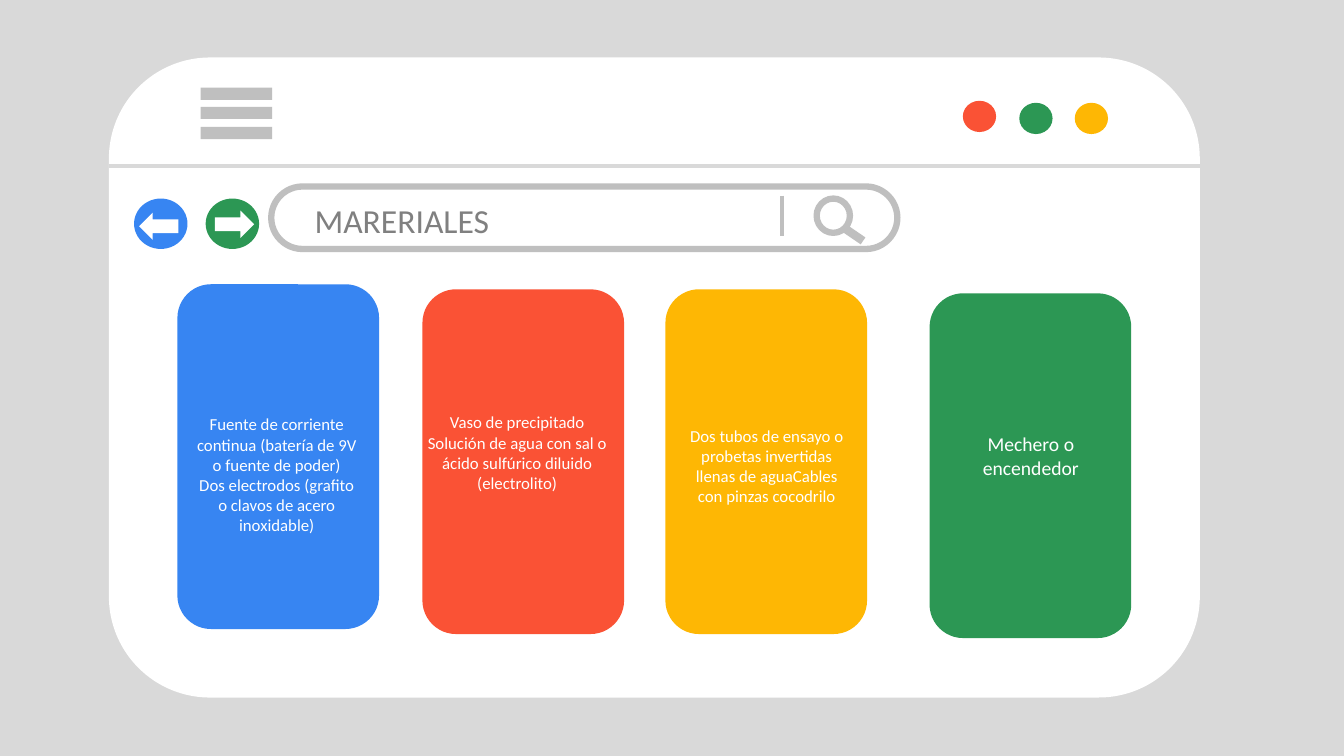
import pptx
import pptx.dml.color
import pptx.enum.shapes
import pptx.enum.text
import pptx.oxml.ns
import pptx.util
from lxml import etree

Inches = pptx.util.Inches
RGBColor = pptx.dml.color.RGBColor
MSO = pptx.enum.shapes.MSO_SHAPE
ALIGN = pptx.enum.text.PP_ALIGN

WHITE = RGBColor(0xFF, 0xFF, 0xFF)
LIGHT = RGBColor(0xD9, 0xD9, 0xD9)
SILVER = RGBColor(0xBF, 0xBF, 0xBF)
GRAY = RGBColor(0x80, 0x80, 0x80)
BLUE = RGBColor(0x37, 0x85, 0xF2)
RED = RGBColor(0xFA, 0x52, 0x35)
YELLOW = RGBColor(0xFE, 0xB7, 0x04)
GREEN = RGBColor(0x2C, 0x97, 0x54)


class BrowserSlide:
    font = "Calibri"

    def __init__(self, prs):
        self.s = prs.slides.add_slide(prs.slide_layouts[5])
        self.s.background.fill.solid()
        self.s.background.fill.fore_color.rgb = LIGHT

    def shape(self, kind, x, y, w, h, fill=None, line=None, weight=4.5, adj=None, rotation=0):
        sp = self.s.shapes.add_shape(kind, Inches(x), Inches(y), Inches(w), Inches(h))
        sp.shadow.inherit = False
        sp.rotation = rotation
        if adj is not None:
            sp.adjustments[0] = adj
        if fill is None:
            sp.fill.background()
        else:
            sp.fill.solid()
            sp.fill.fore_color.rgb = fill
        if line is None:
            sp.line.fill.background()
        else:
            sp.line.color.rgb = line
            sp.line.width = pptx.util.Pt(weight)

    def line(self, x1, y1, x2, y2, color, weight):
        cn = self.s.shapes.add_connector(
            pptx.enum.shapes.MSO_CONNECTOR.STRAIGHT,
            Inches(x1), Inches(y1), Inches(x2), Inches(y2))
        cn.line.color.rgb = color
        cn.line.width = pptx.util.Pt(weight)
        sp_pr = cn.element.find(pptx.oxml.ns.qn("p:spPr"))
        etree.SubElement(sp_pr, pptx.oxml.ns.qn("a:effectLst"))

    def add_runs(self, sp, paragraphs, size, color, align):
        tf = sp.text_frame
        tf.word_wrap = True
        tf.auto_size = pptx.enum.text.MSO_AUTO_SIZE.NONE
        tf.vertical_anchor = pptx.enum.text.MSO_ANCHOR.TOP
        for i, text in enumerate(paragraphs):
            p = tf.add_paragraph() if i else tf.paragraphs[0]
            p.alignment = align
            r = p.add_run()
            r.text = text
            r.font.name = self.font
            r.font.size = pptx.util.Pt(size)
            r.font.color.rgb = color

    def text(self, x, y, w, h, paragraphs, size):
        sp = self.s.shapes.add_textbox(Inches(x), Inches(y), Inches(w), Inches(h))
        self.add_runs(sp, paragraphs, size, WHITE, ALIGN.CENTER)

    def title(self, x, y, w, h, text):
        sp = self.s.shapes.title
        sp.left, sp.top, sp.width, sp.height = Inches(x), Inches(y), Inches(w), Inches(h)
        self.add_runs(sp, [text], 24, GRAY, ALIGN.LEFT)
        sp.element.getparent().append(sp.element)


def main():
    prs = pptx.Presentation()
    prs.slide_width, prs.slide_height = Inches(13.33), Inches(7.5)
    page = BrowserSlide(prs)

    page.shape(MSO.ROUNDED_RECTANGLE, 1.08, 0.57, 10.82, 6.35, WHITE, adj=0.158)
    page.line(1.08, 1.65, 11.9, 1.65, LIGHT, 3)
    for y in (0.87, 1.06, 1.26):
        page.shape(MSO.RECTANGLE, 1.99, y, 0.71, 0.12, SILVER)
    for x, y, color in ((9.55, 1, RED), (10.11, 1.02, GREEN), (10.66, 1.02, YELLOW)):
        page.shape(MSO.OVAL, x, y, 0.33, 0.31, color)

    for x, color, arrow_x, arrow_y, rotation in (
            (2.04, GREEN, 2.13, 2.09, 0), (1.33, BLUE, 1.38, 2.11, 180)):
        page.shape(MSO.OVAL, x, 1.97, 0.53, 0.5, color)
        page.shape(MSO.RIGHT_ARROW, arrow_x, arrow_y, 0.39, 0.27, WHITE, rotation=rotation)

    cards = (
        (1.76, 2.82, BLUE, (1.85, 4.06, 1.79, 1.31), 12,
         ["Fuente de corriente continua (batería de 9V o fuente de poder)",
          "Dos electrodos (grafito o clavos de acero inoxidable)"]),
        (4.19, 2.87, RED, (4.13, 4.04, 2, 0.91), 12,
         ["Vaso de precipitado",
          "Solución de agua con sal o ácido sulfúrico diluido (electrolito)"]),
        (6.6, 2.87, YELLOW, (6.67, 4.17, 1.87, 0.91), 12,
         ["Dos tubos de ensayo o probetas invertidas llenas de aguaCables con pinzas cocodrilo"]),
        (9.22, 2.91, GREEN, (9.29, 4.24, 1.87, 0.57), 14,
         ["Mechero o encendedor"]),
    )
    for x, y, color, box, size, paragraphs in cards:
        page.shape(MSO.ROUNDED_RECTANGLE, x, y, 2, 3.42, color)
        page.text(*box, paragraphs, size)

    page.shape(MSO.ROUNDED_RECTANGLE, 2.69, 1.85, 6.21, 0.62, line=SILVER, adj=0.5)
    page.line(7.76, 1.94, 7.76, 2.34, SILVER, 3)
    page.title(3.02, 1.93, 3.22, 0.5, "MARERIALES")
    page.line(8.37, 2.26, 8.56, 2.39, SILVER, 6)
    page.shape(MSO.OVAL, 8.1, 1.97, 0.33, 0.34, line=SILVER)

    prs.save("out.pptx")


if __name__ == "__main__":
    main()
